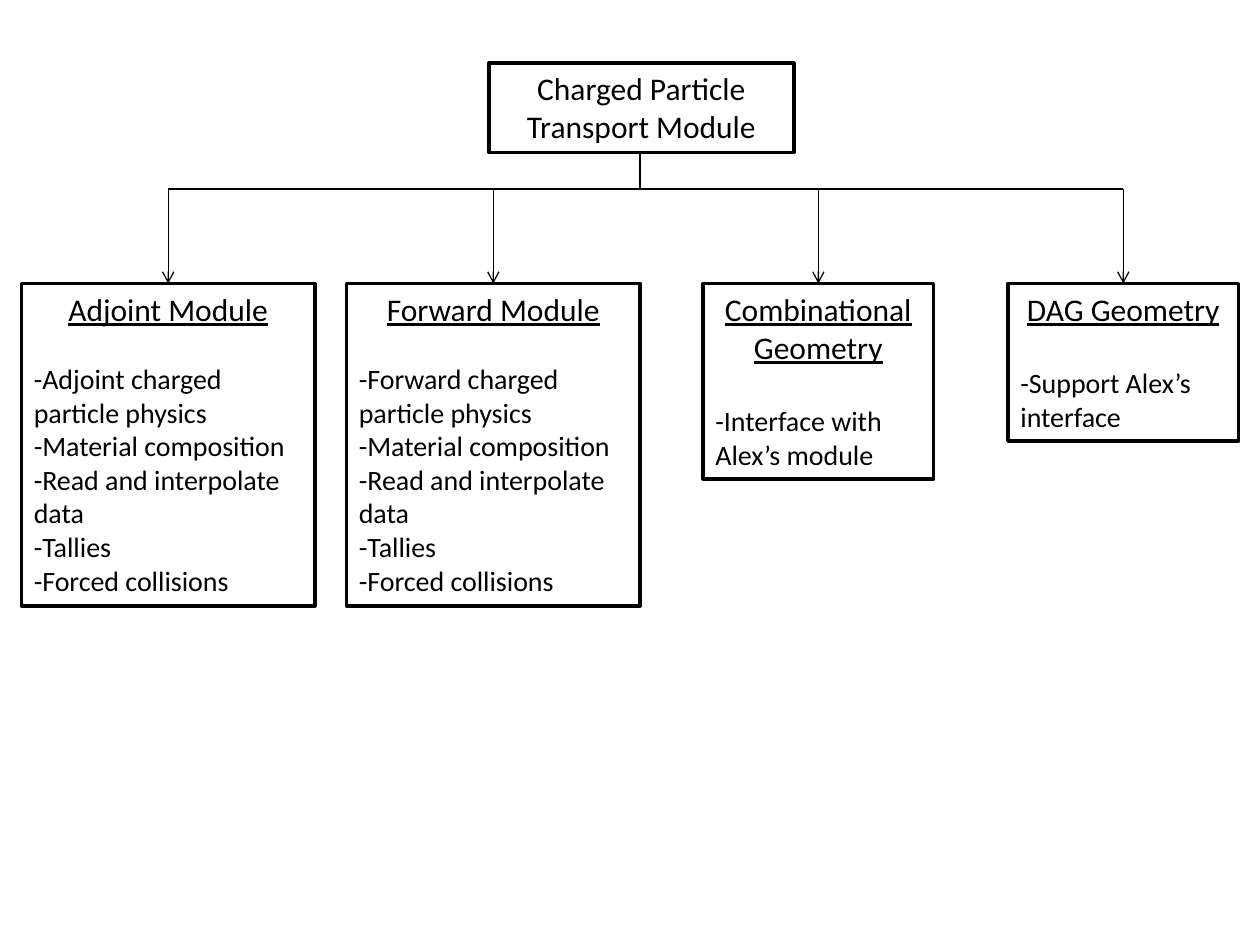
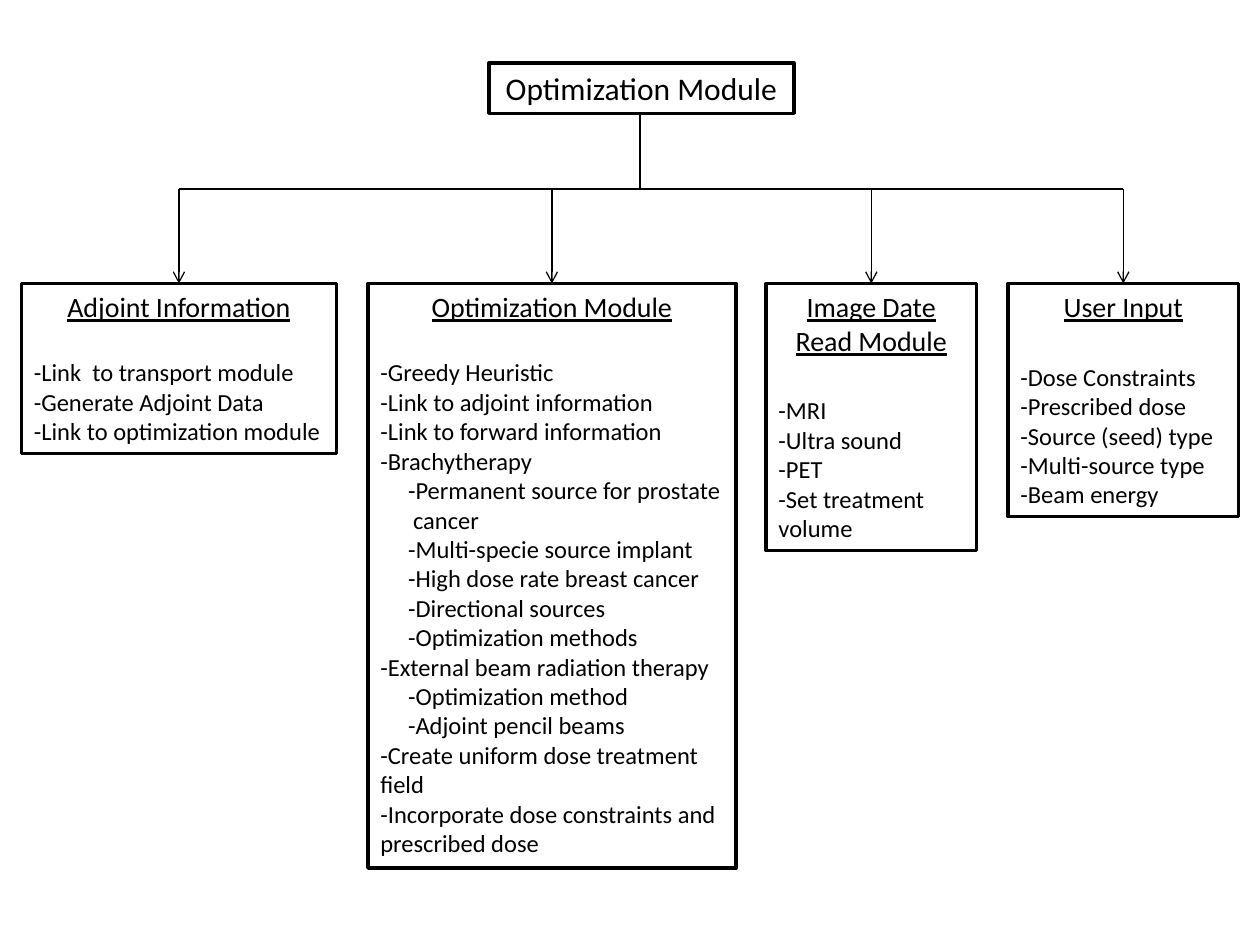
from lxml import etree
from pptx import Presentation
from pptx import util as u
from pptx.dml.color import RGBColor
from pptx.enum import shapes, text
from pptx.oxml.ns import qn

COLOURS = {"ink": "000000", "paper": "FFFFFF"}
FONT = "Calibri"
ROOT_LEFT, ROOT_TOP, ROOT_WIDTH = 3.88, 0.5, 2.42
TRUNK_X, BUS_Y, MODULE_TOP = 5.08, 1.5, 2.25
LINE_HEIGHT = 1.22  # height of a text line relative to its font size
SUB_MARGIN, SUB_HANGING = 0.26, -0.04


def colour(name):
    return RGBColor.from_string(COLOURS[name])


def write_text(paragraph, content, size=18, centred=False, underline=False,
               space_after=0, margin=0, hanging=0):
    run = paragraph.add_run()
    run.text = content
    run.font.name = FONT
    run.font.size = u.Pt(size)
    run.font.color.rgb = colour("ink")
    run.font.underline = underline
    paragraph.alignment = text.PP_ALIGN.CENTER if centred else text.PP_ALIGN.LEFT
    paragraph.space_after = u.Pt(space_after)
    if margin:
        properties = paragraph._p.get_or_add_pPr()
        properties.set("marL", str(u.Inches(margin)))
        properties.set("indent", str(u.Inches(hanging)))


def add_box(slide, left, top, width, height):
    """Add a framed text box and return its text frame."""
    shape = slide.shapes.add_textbox(
        u.Inches(left), u.Inches(top), u.Inches(width), u.Inches(height))
    shape.fill.solid()
    shape.fill.fore_color.rgb = colour("paper")
    shape.line.color.rgb = colour("ink")
    shape.line.width = u.Pt(2)
    frame = shape.text_frame
    frame.word_wrap = True
    frame.auto_size = text.MSO_AUTO_SIZE.SHAPE_TO_FIT_TEXT
    return frame


def add_line(slide, x1, y1, x2, y2, arrow=False):
    connector = slide.shapes.add_connector(
        shapes.MSO_CONNECTOR.STRAIGHT,
        u.Inches(x1), u.Inches(y1), u.Inches(x2), u.Inches(y2))
    connector.line.color.rgb = colour("ink")
    connector.line.width = u.Pt(0.75)
    if arrow:
        etree.SubElement(connector.line._get_or_add_ln(), qn("a:tailEnd"), type="arrow")
    etree.SubElement(connector._element.spPr, qn("a:effectLst"))


def add_module(slide, module, heading_size):
    """Add a module box: underlined heading, a gap, then its items."""
    left, width, height, gap_size, heading, items = module
    frame = add_box(slide, left, MODULE_TOP, width, height)
    write_text(frame.paragraphs[0], heading, size=heading_size, centred=True,
               underline=True, space_after=gap_size * LINE_HEIGHT)
    for item in items:
        # A tuple holds the sub-items of the item before it
        is_group = isinstance(item, tuple)
        indent = {"margin": SUB_MARGIN, "hanging": SUB_HANGING} if is_group else {}
        for line in item if is_group else [item]:
            write_text(frame.add_paragraph(), line, size=heading_size - 2, **indent)


def add_hierarchy(presentation, title, root_height, heading_size, modules):
    slide = presentation.slides.add_slide(presentation.slide_layouts[6])

    # Root box
    frame = add_box(slide, ROOT_LEFT, ROOT_TOP, ROOT_WIDTH, root_height)
    write_text(frame.paragraphs[0], title, centred=True)

    # Trunk, bus and one arrow down to the middle of each module
    centres = [left + width / 2 for left, width, *_ in modules]
    add_line(slide, TRUNK_X, ROOT_TOP + root_height, TRUNK_X, BUS_Y)
    add_line(slide, centres[0], BUS_Y, centres[-1], BUS_Y)
    for centre in centres:
        add_line(slide, centre, BUS_Y, centre, MODULE_TOP, arrow=True)

    # Module boxes
    for module in modules:
        add_module(slide, module, heading_size)


def physics_items(kind):
    return [f"-{kind} charged particle physics", "-Material composition",
            "-Read and interpolate data", "-Tallies", "-Forced collisions"]


# Modules: left, width, height, gap size under the heading, heading, items
TRANSPORT_MODULES = [
    (0.17, 2.33, 2.56, 16, "Adjoint Module", physics_items("Adjoint")),
    (2.75, 2.33, 2.56, 16, "Forward Module", physics_items("Forward")),
    (5.58, 1.83, 1.55, 18, "Combinational Geometry",
     ["-Interface with Alex’s module"]),
    (8, 1.83, 1.25, 18, "DAG Geometry", ["-Support Alex’s interface"]),
]

OPTIMIZATION_MODULES = [
    (0.17, 2.5, 1.35, 16, "Adjoint Information",
     ["-Link  to transport module", "-Generate Adjoint Data",
      "-Link to optimization module"]),
    (2.92, 2.92, 4.64, 16, "Optimization Module",
     ["-Greedy Heuristic", "-Link to adjoint information",
      "-Link to forward information", "-Brachytherapy",
      ("-Permanent source for prostate cancer", "-Multi-specie source implant",
       "-High dose rate breast cancer", "-Directional sources",
       "-Optimization methods"),
      "-External beam radiation therapy",
      ("-Optimization method", "-Adjoint pencil beams"),
      "-Create uniform dose treatment field",
      "-Incorporate dose constraints and prescribed dose"]),
    (6.08, 1.67, 2.12, 18, "Image Date Read Module",
     ["-MRI", "-Ultra sound", "-PET", "-Set treatment volume"]),
    (8, 1.83, 1.85, 18, "User Input",
     ["-Dose Constraints", "-Prescribed dose", "-Source (seed) type",
      "-Multi-source type", "-Beam energy"]),
]


def main():
    presentation = Presentation()
    presentation.slide_width = u.Inches(10)
    presentation.slide_height = u.Inches(7.5)
    add_hierarchy(presentation, "Charged Particle Transport Module", 0.71, 18,
                  TRANSPORT_MODULES)
    add_hierarchy(presentation, "Optimization Module", 0.4, 16, OPTIMIZATION_MODULES)
    presentation.save("out.pptx")


if __name__ == "__main__":
    main()
